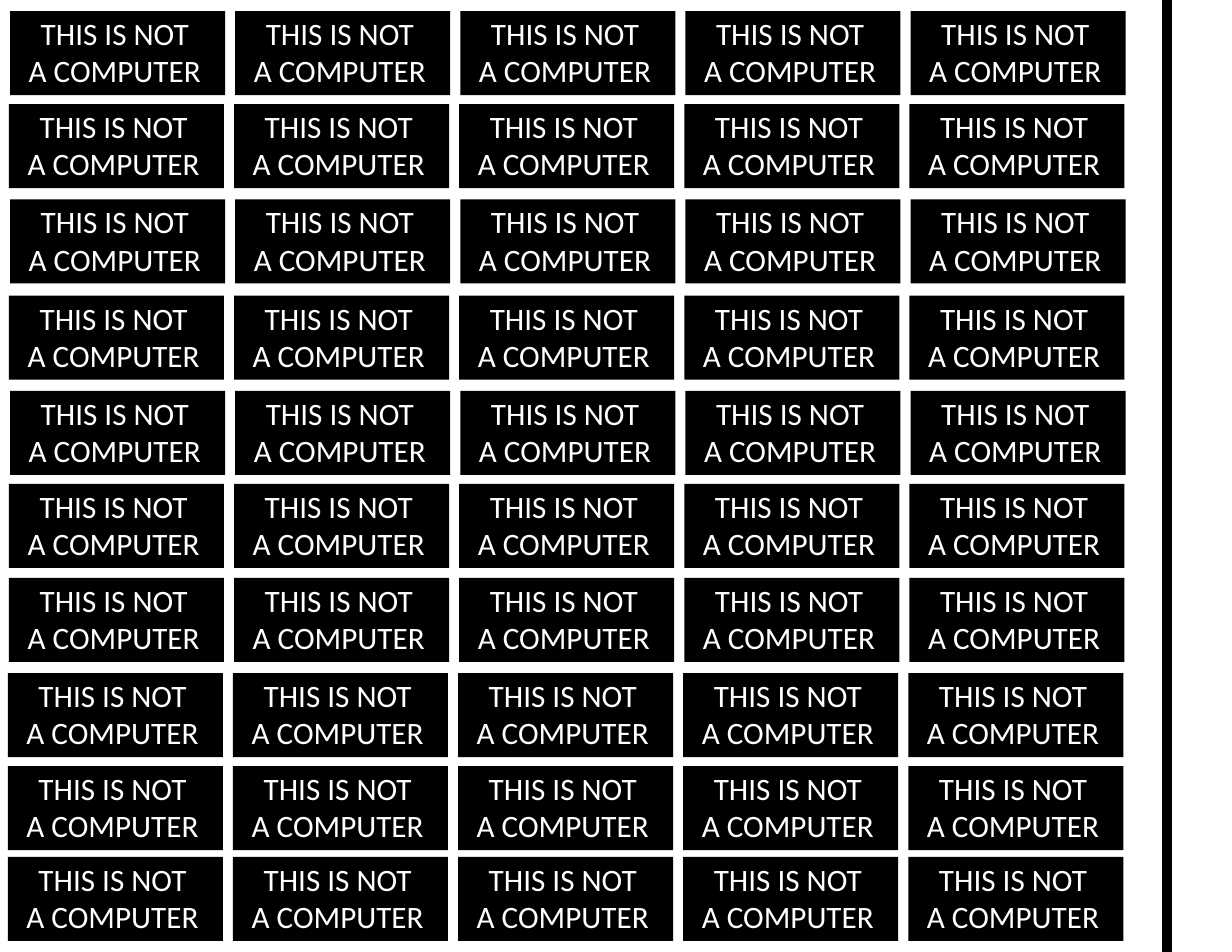
from pptx import Presentation
from pptx.dml.color import RGBColor
from pptx.enum.shapes import MSO_CONNECTOR, MSO_SHAPE
from pptx.enum.text import MSO_AUTO_SIZE, PP_ALIGN
from pptx.oxml.ns import qn
from pptx.util import Inches, Pt
from lxml import etree

BLACK, WHITE = "000000", "FFFFFF"
LABEL_LINES = ("THIS IS NOT", "A COMPUTER")
LABEL_W, LABEL_H = 1.92, 0.75
COLUMNS, COLUMN_STEP = 5, 2.01
# Left and top of each row's first label; the rows are spaced by hand.
ROW_STARTS = [
    (0.09, 0.10), (0.08, 0.93), (0.09, 1.78), (0.08, 2.64), (0.09, 3.49),
    (0.08, 4.32), (0.08, 5.16), (0.07, 6.01), (0.07, 6.84), (0.07, 7.65),
]


def color(hex_code):
    return RGBColor.from_string(hex_code)


def add_label(s, left, top, width, height):
    """Black plate with a slightly narrower, taller text box over it."""
    plate = s.shapes.add_shape(MSO_SHAPE.RECTANGLE, Inches(left), Inches(top),
                               Inches(width), Inches(height))
    plate.shadow.inherit = False
    plate.fill.solid()
    plate.fill.fore_color.rgb = color(BLACK)
    plate.line.fill.background()

    box = s.shapes.add_textbox(Inches(left + 0.01), Inches(top - 0.02),
                               Inches(width - 0.07), Inches(height + 0.02))
    tf = box.text_frame
    tf.word_wrap = False
    tf.auto_size = MSO_AUTO_SIZE.SHAPE_TO_FIT_TEXT
    for i, line in enumerate(LABEL_LINES):
        p = tf.add_paragraph() if i else tf.paragraphs[0]
        p.alignment = PP_ALIGN.CENTER
        r = p.add_run()
        r.text = line
        r.font.size = Pt(20)
        r.font.name = "Calibri"
        r.font.color.rgb = color(WHITE)


def add_label_sheet(s):
    for column in range(COLUMNS):
        for left, top in ROW_STARTS:
            add_label(s, left + column * COLUMN_STEP, top, LABEL_W, LABEL_H)


def add_cut_line(s, x, top, bottom):
    line = s.shapes.add_connector(MSO_CONNECTOR.STRAIGHT, Inches(x), Inches(top),
                                  Inches(x), Inches(bottom))
    line.line.color.rgb = color(BLACK)
    line.line.width = Pt(6.5)
    etree.SubElement(line._element.spPr, qn("a:effectLst"))


def main():
    prs = Presentation()
    prs.slide_width, prs.slide_height = Inches(11), Inches(8.5)
    s = prs.slides.add_slide(prs.slide_layouts[6])
    add_label_sheet(s)
    add_cut_line(s, 10.42, 0, 8.5)
    prs.save("out.pptx")


if __name__ == "__main__":
    main()
